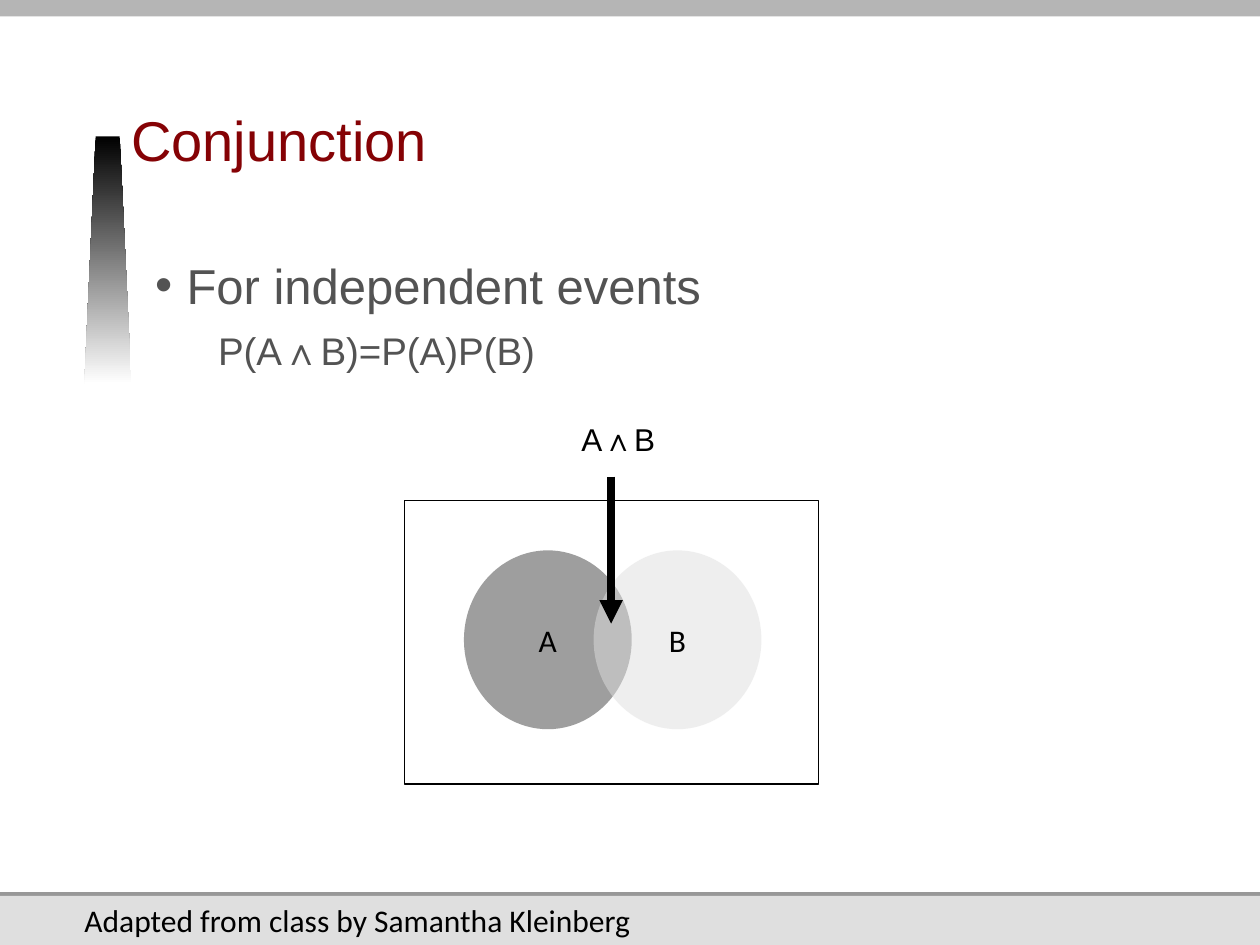
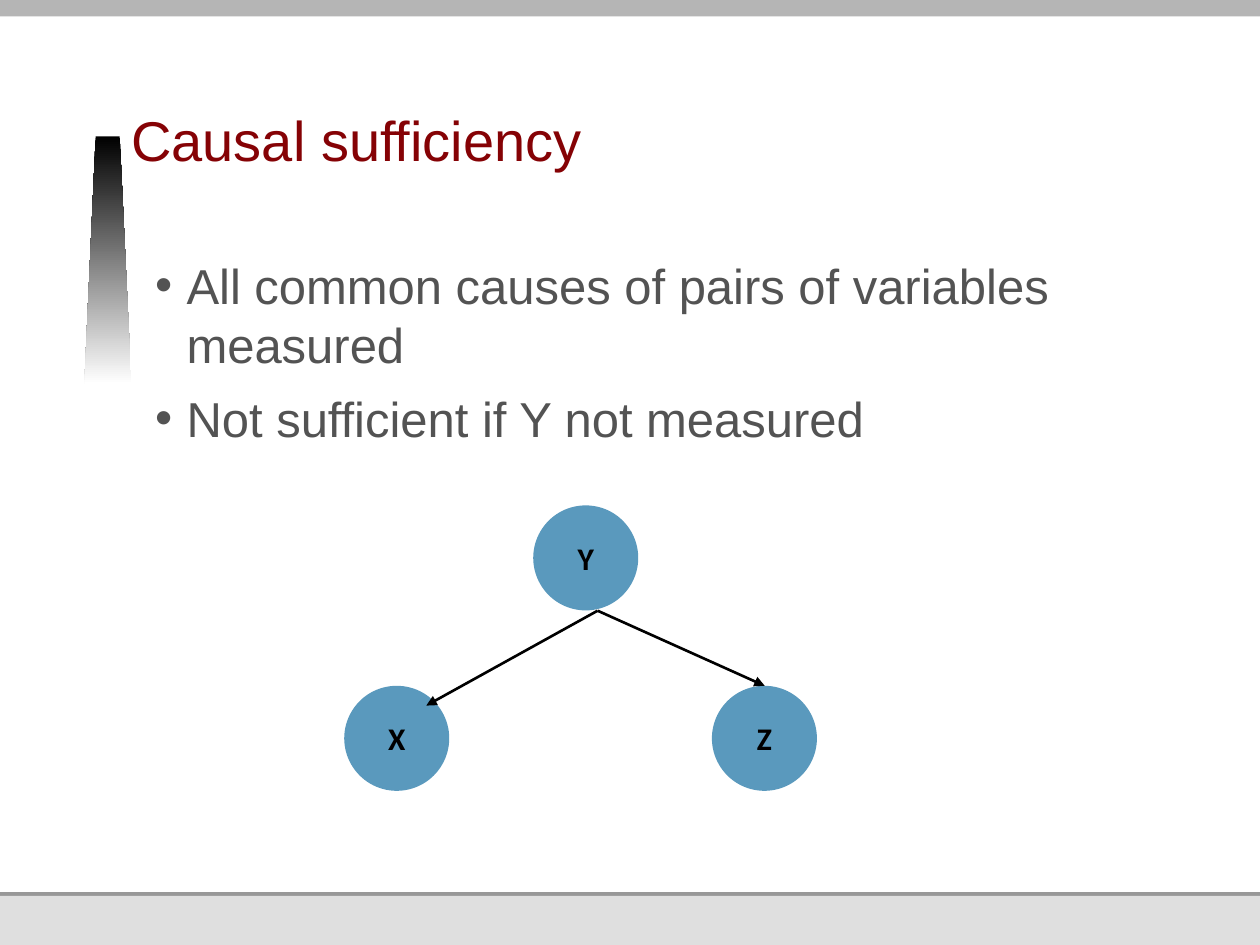
"""Build two slides on probability: conjunction and causal sufficiency."""
from lxml.etree import SubElement
from pptx import Presentation
from pptx.dml.color import RGBColor
from pptx.enum.shapes import MSO_CONNECTOR as Connector, MSO_SHAPE as Shape
from pptx.enum.text import MSO_ANCHOR as Anchor, MSO_AUTO_SIZE as AutoSize, PP_ALIGN as Align
from pptx.oxml.ns import qn
from pptx.util import Pt

BLACK = RGBColor(0x00, 0x00, 0x00)
WHITE = RGBColor(0xFF, 0xFF, 0xFF)
TITLE_RED = RGBColor(0x85, 0x02, 0x05)
BODY_GREY = RGBColor(0x53, 0x53, 0x53)
TOP_GREY = RGBColor(0xB5, 0xB5, 0xB5)
RULE_GREY = RGBColor(0x98, 0x98, 0x98)
FOOTER_GREY = RGBColor(0xDF, 0xDF, 0xDF)
SET_DARK = RGBColor(0x3E, 0x3E, 0x3E)
NODE_BLUE = RGBColor(0x5A, 0x99, 0xBD)

WIDTH, HEIGHT = 720, 540
BANDS = [(0, 9.4, TOP_GREY), (509.8, 2.2, RULE_GREY), (512, 28, FOOTER_GREY)]
WEDGE = [(48.2, 219.4), (54.7, 78), (68.4, 78), (75.1, 219.4)]
TITLE_AREA = (75, 24.5, 494.6, 77.8)
BODY_AREA = (88.6, 145.4, 555, 345)

TITLE_FONT = {"name": "Arial", "size": Pt(32), "color": TITLE_RED}
LABEL_FONT = {"name": "Calibri", "size": Pt(18), "color": BLACK}
SUM_FONT = {**LABEL_FONT, "name": "Arial"}
LEVELS = [
    {"size": 28, "spacing": 34, "left": 18, "hanging": -18, "bullet": "•"},
    {"size": 22, "spacing": 26, "left": 36, "hanging": 0, "bullet": None},
]

CONJUNCTION = {
    "title": "Conjunction",
    "body": [(0, "For independent events"), (1, "P(A∧B)=P(A)P(B)")],
    "circles": [("A", 265.1, 314.5, SET_DARK), ("B", 339.2, 314.5, FOOTER_GREY)],
    "circle_size": (95.9, 102.2),
    "opacity": 50,
    "bold": False,
    "arrows": [(349.2, 272.4, 349.2, 356.4)],
    "arrow_width": 4.5,
}
SUFFICIENCY = {
    "title": "Causal sufficiency",
    "body": [(0, "All common causes of pairs of variables measured"),
             (0, "Not sufficient if Y not measured")],
    "circles": [("X", 196.7, 391.9, NODE_BLUE), ("Y", 304.7, 288.8, NODE_BLUE),
                ("Z", 406.8, 391.9, NODE_BLUE)],
    "circle_size": (60, 60),
    "opacity": 100,
    "bold": True,
    "arrows": [(341.5, 349, 243.6, 403.2), (341.5, 349, 437, 391.9)],
    "arrow_width": 1.5,
}
FRAME = (231.1, 286, 236.5, 162)
SUM_AREA = (325.2, 236.2, 58.3, 29)
SUM_SPANS = [("A", False), ("∧", True), ("B", False)]
CREDIT_AREA = (41.2, 511.3, 330.5, 29)
CREDIT = "Adapted from class by Samantha Kleinberg"


def points(values):
    """Turn numbers into point lengths."""
    return [Pt(value) for value in values]


def set_all(target, formats):
    """Set each attribute of the target from a dict."""
    for name, value in formats.items():
        setattr(target, name, value)


def style_font(font, formats):
    """Apply a font dict, whose colour goes to the nested colour object."""
    set_all(font, {key: value for key, value in formats.items() if key != "color"})
    font.color.rgb = formats["color"]


def add_span(para, text, formats):
    """Add one formatted run of text."""
    span = para.add_run()
    span.text = text
    style_font(span.font, formats)


def add_figure(page, kind, area, color=None):
    """Add a preset shape without outline or shadow."""
    figure = page.shapes.add_shape(kind, *points(area))
    figure.shadow.inherit = False
    figure.line.fill.background()
    if color is None:
        figure.fill.background()
    else:
        figure.fill.solid()
        figure.fill.fore_color.rgb = color
    return figure


def add_line_of_text(page, area, spans, formats):
    """Add a one-line text box made of plain and bold spans."""
    box = page.shapes.add_textbox(*points(area))
    set_all(box.text_frame, {"word_wrap": False, "auto_size": AutoSize.SHAPE_TO_FIT_TEXT})
    for text, bold in spans:
        add_span(box.text_frame.paragraphs[0], text, {**formats, "bold": bold})


def add_wedge(page):
    """Draw the fading wedge to the left of the title."""
    start, *rest = [tuple(points(corner)) for corner in WEDGE]
    builder = page.shapes.build_freeform(*start)
    builder.add_line_segments(rest, close=True)
    wedge = builder.convert_to_shape()
    wedge.shadow.inherit = False
    wedge.line.fill.background()
    wedge.fill.gradient()
    wedge.fill.gradient_angle = 270
    for stop, color, position in zip(wedge.fill.gradient_stops, (BLACK, WHITE), (0, 1)):
        stop.color.rgb = color
        stop.position = position


def set_title(page, text):
    """Place and format the title placeholder."""
    title = page.shapes.title
    set_all(title, dict(zip(("left", "top", "width", "height"), points(TITLE_AREA))))
    set_all(title.text_frame, {
        "margin_left": 0, "margin_right": 0, "margin_top": 0, "margin_bottom": Pt(3.6),
        "vertical_anchor": Anchor.BOTTOM, "word_wrap": True, "auto_size": AutoSize.NONE})
    para = title.text_frame.paragraphs[0]
    set_all(para, {"alignment": Align.LEFT, "line_spacing": Pt(34)})
    add_span(para, text, TITLE_FONT)


def add_body(page, lines):
    """Add the bulleted text."""
    frame = page.shapes.add_textbox(*points(BODY_AREA)).text_frame
    set_all(frame, {"margin_left": 0, "margin_right": 0, "margin_top": 0,
                    "margin_bottom": Pt(3.6), "word_wrap": True})
    for index, (depth, text) in enumerate(lines):
        level = LEVELS[depth]
        para = frame.add_paragraph() if index else frame.paragraphs[0]
        properties = para._p.get_or_add_pPr()
        properties.set("marL", str(Pt(level["left"])))
        properties.set("indent", str(Pt(level["hanging"])))
        if level["bullet"]:
            tint = SubElement(properties, qn("a:buClr"))
            SubElement(tint, qn("a:srgbClr"), val=str(BODY_GREY))
            SubElement(properties, qn("a:buFont"), typeface="Arial")
            SubElement(properties, qn("a:buChar"), char=level["bullet"])
        set_all(para, {"level": depth, "space_after": Pt(8),
                       "line_spacing": Pt(level["spacing"])})
        add_span(para, text, {"name": "Arial", "size": Pt(level["size"]), "color": BODY_GREY})


def add_circle(page, label, area, color, opacity, bold):
    """Add a labelled circle."""
    circle = add_figure(page, Shape.OVAL, area, color)
    if opacity < 100:
        tint = circle._element.spPr.find(".//" + qn("a:srgbClr"))
        SubElement(tint, qn("a:alpha"), val=str(opacity * 1000))
    set_all(circle.text_frame, {"word_wrap": False, "vertical_anchor": Anchor.MIDDLE})
    para = circle.text_frame.paragraphs[0]
    para.alignment = Align.CENTER
    add_span(para, label, {**LABEL_FONT, "bold": bold})


def add_arrow(page, ends, width):
    """Add a straight black arrow."""
    arrow = page.shapes.add_connector(Connector.STRAIGHT, *points(ends))
    arrow.line.color.rgb = BLACK
    arrow.line.width = Pt(width)
    SubElement(arrow.line._get_or_add_ln(), qn("a:tailEnd"), type="triangle")
    SubElement(arrow._element.spPr, qn("a:effectLst"))


def add_page(deck, content):
    """Add a slide with its bands, title, body and diagram."""
    page = deck.slides.add_slide(deck.slide_layouts[5])
    for top, height, color in BANDS:
        add_figure(page, Shape.RECTANGLE, (0, top, WIDTH, height), color)
    add_wedge(page)
    set_title(page, content["title"])
    add_body(page, content["body"])
    for label, left, top, color in content["circles"]:
        add_circle(page, label, (left, top, *content["circle_size"]), color,
                   content["opacity"], content["bold"])
    for ends in content["arrows"]:
        add_arrow(page, ends, content["arrow_width"])
    return page


def main():
    """Build and save the deck."""
    deck = Presentation()
    set_all(deck, {"slide_width": Pt(WIDTH), "slide_height": Pt(HEIGHT)})
    page = add_page(deck, CONJUNCTION)
    add_line_of_text(page, SUM_AREA, SUM_SPANS, SUM_FONT)
    frame = add_figure(page, Shape.RECTANGLE, FRAME)
    frame.line.color.rgb = BLACK
    frame.line.width = Pt(0.75)
    add_line_of_text(page, CREDIT_AREA, [(CREDIT, False)], LABEL_FONT)
    add_page(deck, SUFFICIENCY)
    deck.save("out.pptx")


if __name__ == "__main__":
    main()
